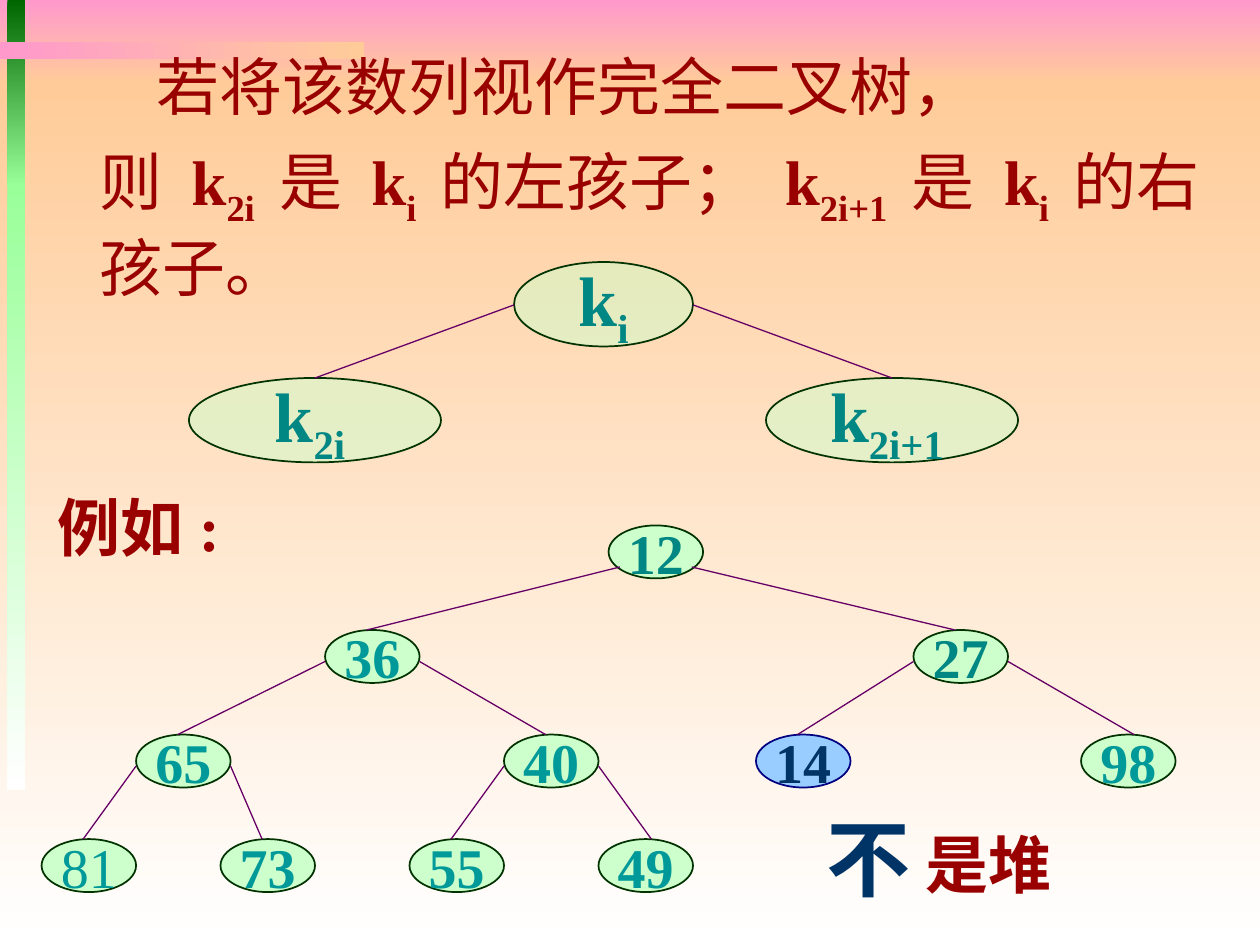
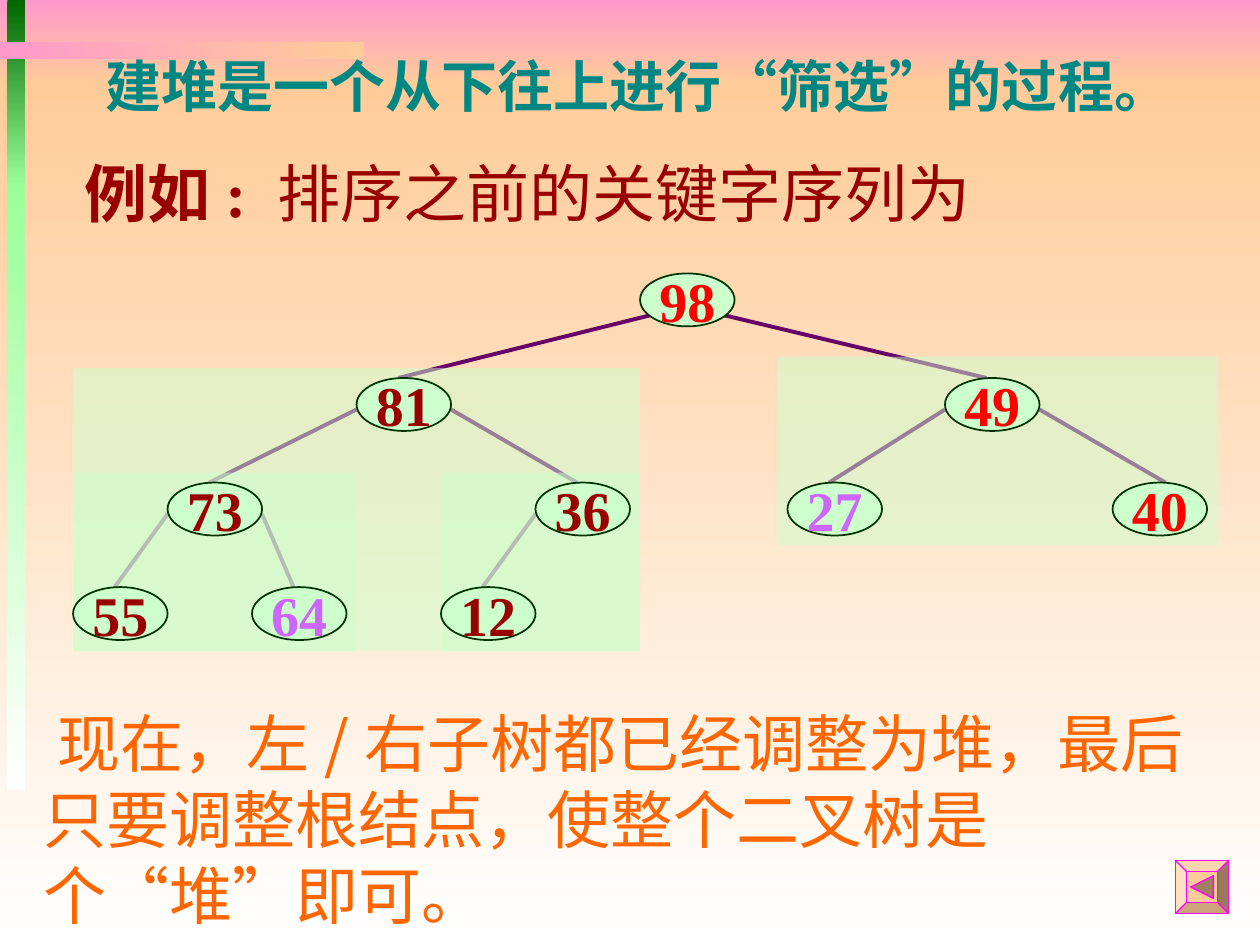
"""Build two slides about heaps seen as complete binary trees."""
from lxml.etree import SubElement
from pptx import Presentation
from pptx.dml.color import RGBColor
from pptx.enum.shapes import MSO_CONNECTOR, MSO_SHAPE
from pptx.enum.text import MSO_ANCHOR, PP_ALIGN
from pptx.oxml.ns import qn
from pptx.util import Inches, Pt

PINK = RGBColor(0xFF, 0x99, 0xCC)
PEACH = RGBColor(0xFF, 0xCC, 0x99)
WHITE = RGBColor(0xFF, 0xFF, 0xFF)
DARK_GREEN = RGBColor(0x00, 0x66, 0x00)
LIGHT_GREEN = RGBColor(0x99, 0xFF, 0x99)
NODE_FILL = RGBColor(0xCC, 0xFF, 0xCC)
NODE_LINE = RGBColor(0x00, 0x33, 0x00)
MARKED_FILL = RGBColor(0x99, 0xCC, 0xFF)
MARKED_LINE = RGBColor(0x00, 0x00, 0x80)
NAVY = RGBColor(0x00, 0x33, 0x66)
TEAL = RGBColor(0x00, 0x87, 0x84)
BRIGHT_TEAL = RGBColor(0x00, 0x99, 0x99)
DARK_RED = RGBColor(0x99, 0x00, 0x00)
RED = RGBColor(0xFF, 0x00, 0x00)
VIOLET = RGBColor(0xCC, 0x66, 0xFF)
ORANGE = RGBColor(0xFF, 0x66, 0x00)
PURPLE = RGBColor(0x66, 0x00, 0x66)
MAGENTA = RGBColor(0xFF, 0x00, 0xFF)
BROWN = RGBColor(0xA0, 0x80, 0x60)

SERIF = "Times New Roman"
SANS = "Noto Sans CJK SC"

NODE_WIDTH, NODE_HEIGHT, LEVEL_STEP = 0.75, 0.42, 0.83
NODE_LEFTS = [4.83, 2.58, 7.25, 1.08, 4, 6, 8.58, 0.33, 1.75, 3.25, 4.75]
RIGHT_HOOKED = (6, 10)


def add_box(slide, kind, left, top, width, height):
    """Add a shadowless preset shape without a line."""
    shape = slide.shapes.add_shape(
        kind, Inches(left), Inches(top), Inches(width), Inches(height))
    shape.shadow.inherit = False
    shape.line.fill.background()
    return shape


def paint(shape, color, opacity=100):
    """Fill a shape with one colour, optionally see-through."""
    shape.fill.solid()
    shape.fill.fore_color.rgb = color
    if opacity < 100:
        color_element = shape.element.spPr.find(qn("a:solidFill"))[0]
        SubElement(color_element, qn("a:alpha")).set("val", str(opacity * 1000))


def outline(shape, color, width):
    """Give a shape a coloured line of the given points."""
    shape.line.color.rgb = color
    shape.line.width = Pt(width)


def add_band(slide, left, top, width, height, start, end, angle=270):
    """Add a rectangle with a two-colour gradient."""
    band = add_box(slide, MSO_SHAPE.RECTANGLE, left, top, width, height)
    band.fill.gradient()
    band.fill.gradient_angle = angle
    for stop, color in zip(band.fill.gradient_stops, (start, end)):
        stop.color.rgb = color


def add_themed_slide(presentation):
    """Add a blank slide with the shared gradient bands."""
    slide = presentation.slides.add_slide(presentation.slide_layouts[6])
    add_band(slide, 0, 0, 10, 0.67, PINK, PEACH)
    add_band(slide, 0, 0.67, 10, 6.83, PEACH, WHITE)
    add_band(slide, 0.06, 0, 0.14, 1.48, DARK_GREEN, LIGHT_GREEN)
    add_band(slide, 0.06, 1.46, 0.14, 4.81, LIGHT_GREEN, WHITE)
    add_band(slide, 0, 0.33, 2.89, 0.14, PINK, PEACH, angle=0)
    return slide


def write(paragraph, pieces, size, color, font=SERIF):
    """Write (text, style) pieces; styles are plain, bold and sub."""
    for text, style in pieces:
        run = paragraph.add_run()
        run.text = text
        run.font.name = font
        run.font.size = Pt(size)
        run.font.bold = style != "plain"
        run.font.color.rgb = color
        if style == "sub":
            run.font._element.set("baseline", "-25000")


def add_text(slide, left, top, width, height, paragraphs, size, color,
             font=SERIF, wrap=False, indent=0):
    """Add a text box; the indent applies to its first line."""
    box = slide.shapes.add_textbox(
        Inches(left), Inches(top), Inches(width), Inches(height))
    frame = box.text_frame
    frame.word_wrap = wrap
    for index, pieces in enumerate(paragraphs):
        paragraph = frame.add_paragraph() if index else frame.paragraphs[0]
        if index:
            paragraph.space_before = Pt(11.2)
        elif indent:
            properties = paragraph._p.get_or_add_pPr()
            properties.set("marL", "0")
            properties.set("indent", str(Inches(indent)))
        write(paragraph, pieces, size, color, font)
    return frame


def add_ellipse(slide, left, top, width, height, pieces, size, color,
                fill=NODE_FILL, line=NODE_LINE, opacity=100):
    """Add a labelled tree node."""
    ellipse = add_box(slide, MSO_SHAPE.OVAL, left, top, width, height)
    paint(ellipse, fill, opacity)
    outline(ellipse, line, 1)
    frame = ellipse.text_frame
    frame.word_wrap = False
    frame.vertical_anchor = MSO_ANCHOR.MIDDLE
    frame.paragraphs[0].alignment = PP_ALIGN.CENTER
    write(frame.paragraphs[0], pieces, size, color)


def add_edge(slide, start, end, width):
    """Add a straight tree edge."""
    edge = slide.shapes.add_connector(
        MSO_CONNECTOR.STRAIGHT, *map(Inches, start + end))
    outline(edge, PURPLE, width)
    SubElement(edge.element.spPr, qn("a:effectLst"))


def node_place(index, origin):
    """Return the left and top of a heap-ordered node."""
    level = (index + 1).bit_length() - 1
    return NODE_LEFTS[index] + origin[0], origin[1] + level * LEVEL_STEP


def add_tree_edges(slide, count, origin, width):
    """Join each heap-ordered node to its parent."""
    for child in range(1, count):
        parent = (child - 1) // 2
        left, top = node_place(parent, origin)
        inset, drop = (0.25, 0.25) if parent else (0.09, 0.33)
        if parent:
            inset = 0
        start_x = left + inset if child % 2 else left + NODE_WIDTH - inset
        end_x, end_y = node_place(child, origin)
        end_x += 0.42 if child in RIGHT_HOOKED else 0.33
        add_edge(slide, (start_x, top + drop), (end_x, end_y), width)


def add_tree_nodes(slide, nodes, origin):
    """Draw heap-ordered (label, colour) nodes; navy marks the odd one out."""
    for index, (label, color, style) in enumerate(nodes):
        marked = color == NAVY
        add_ellipse(slide, *node_place(index, origin), NODE_WIDTH, NODE_HEIGHT,
                    [(label, style)], 32, color,
                    fill=MARKED_FILL if marked else NODE_FILL,
                    line=MARKED_LINE if marked else NODE_LINE)


def add_back_button(slide, left, top, side):
    """Add a bevelled button with a triangle pointing left."""
    button = add_box(slide, MSO_SHAPE.BEVEL, left, top, side, side)
    button.adjustments[0] = 0.21
    paint(button, PEACH)
    outline(button, MAGENTA, 0.75)
    tip_x, base_x, middle = left + 0.12, left + 0.3, top + side / 2
    builder = slide.shapes.build_freeform(
        Inches(tip_x), Inches(middle), scale=1.0)
    builder.add_line_segments(
        [(Inches(base_x), Inches(middle - 0.09)),
         (Inches(base_x), Inches(middle + 0.09))], close=True)
    triangle = builder.convert_to_shape()
    triangle.shadow.inherit = False
    paint(triangle, BROWN)
    outline(triangle, MAGENTA, 0.75)


def build_definition_slide(presentation):
    """Show the child rule and a tree that is not a heap."""
    slide = add_themed_slide(presentation)
    for left, top, width, index in ((4.08, 2.08, 1.42, "i"),
                                    (1.5, 3, 2, "2i "),
                                    (6.08, 3, 2, "2i+1 ")):
        add_ellipse(slide, left, top, width, 0.67,
                    [("k", "bold"), (index, "sub")], 40, TEAL, opacity=50)
    add_edge(slide, (4.08, 2.42), (2.5, 3), 0.75)
    add_edge(slide, (5.5, 2.42), (7.08, 3), 0.75)

    parent_key = [("k", "bold"), ("i ", "sub")]
    rule = [("则 ", "plain"), ("k", "bold"), ("2i ", "sub"),
            ("是 ", "plain"), *parent_key, ("的左孩子； ", "plain"),
            ("k", "bold"), ("2i+1 ", "sub"),
            ("是 ", "plain"), *parent_key, ("的右孩子。", "plain")]
    add_text(slide, 0.69, 0.33, 9.2, 2.14,
             [[("若将该数列视作完全二叉树，", "plain")], rule],
             36, DARK_RED, wrap=True, indent=0.45)

    nodes = [("12", TEAL, "bold"), ("36", BRIGHT_TEAL, "bold"),
             ("27", TEAL, "bold"), ("65", BRIGHT_TEAL, "bold"),
             ("40", BRIGHT_TEAL, "bold"), ("14", NAVY, "bold"),
             ("98", BRIGHT_TEAL, "bold"), ("81", BRIGHT_TEAL, "plain"),
             ("73", BRIGHT_TEAL, "bold"), ("55", BRIGHT_TEAL, "bold"),
             ("49", BRIGHT_TEAL, "bold")]
    origin = (0, 4.17)
    add_tree_nodes(slide, nodes, origin)
    add_tree_edges(slide, len(nodes), origin, 0.75)

    add_text(slide, 0.36, 3.83, 1.48, 0.7, [[("例如:", "bold")]], 36, DARK_RED)
    add_text(slide, 7.25, 6.5, 2.32, 0.7, [[("是堆", "bold")]], 36, DARK_RED,
             wrap=True)
    add_text(slide, 6.46, 6.35, 0.86, 0.9, [[("不", "bold")]], 48, NAVY)


def build_sifting_slide(presentation):
    """Show the tree whose subtrees are already heaps."""
    slide = add_themed_slide(presentation)
    add_text(slide, 0.74, 0.36, 8.65, 0.64,
             [[("建堆是一个从下往上进行“筛选”的过程。", "bold")]], 32, TEAL)
    nodes = [(label, color, "bold") for label, color in (
        ("98", RED), ("81", DARK_RED), ("49", RED), ("73", DARK_RED),
        ("36", DARK_RED), ("27", VIOLET), ("40", RED), ("55", DARK_RED),
        ("64", VIOLET), ("12", DARK_RED))]
    origin = (0.25, 2.17)
    add_tree_edges(slide, len(nodes), origin, 2.25)
    add_text(slide, 0.57, 1.18, 7.23, 0.7,
             [[("例如: ", "bold"), ("排序之前的关键字序列为", "plain")]],
             36, DARK_RED)
    for area in ((3.5, 3.75, 1.58, 1.42), (0.58, 3.75, 2.25, 1.42),
                 (6.17, 2.83, 3.5, 1.5), (0.58, 2.92, 4.5, 2.25)):
        paint(add_box(slide, MSO_SHAPE.RECTANGLE, *area), NODE_FILL, opacity=50)
    add_tree_nodes(slide, nodes, origin)
    conclusion = "现在，左/右子树都已经调整为堆，最后只要调整根结点，使整个二叉树是个“堆”即可。"
    frame = add_text(slide, 0.25, 5.54, 9.6, 1.9, [[(conclusion, "plain")]],
                     36, ORANGE, font=SANS, wrap=True, indent=0.11)
    frame.paragraphs[0].line_spacing = Pt(43.4)
    add_back_button(slide, 9.33, 6.83, 0.42)


def main():
    """Build and save the presentation."""
    presentation = Presentation()
    presentation.slide_width = Inches(10)
    presentation.slide_height = Inches(7.5)
    build_definition_slide(presentation)
    build_sifting_slide(presentation)
    presentation.save("out.pptx")


if __name__ == "__main__":
    main()
